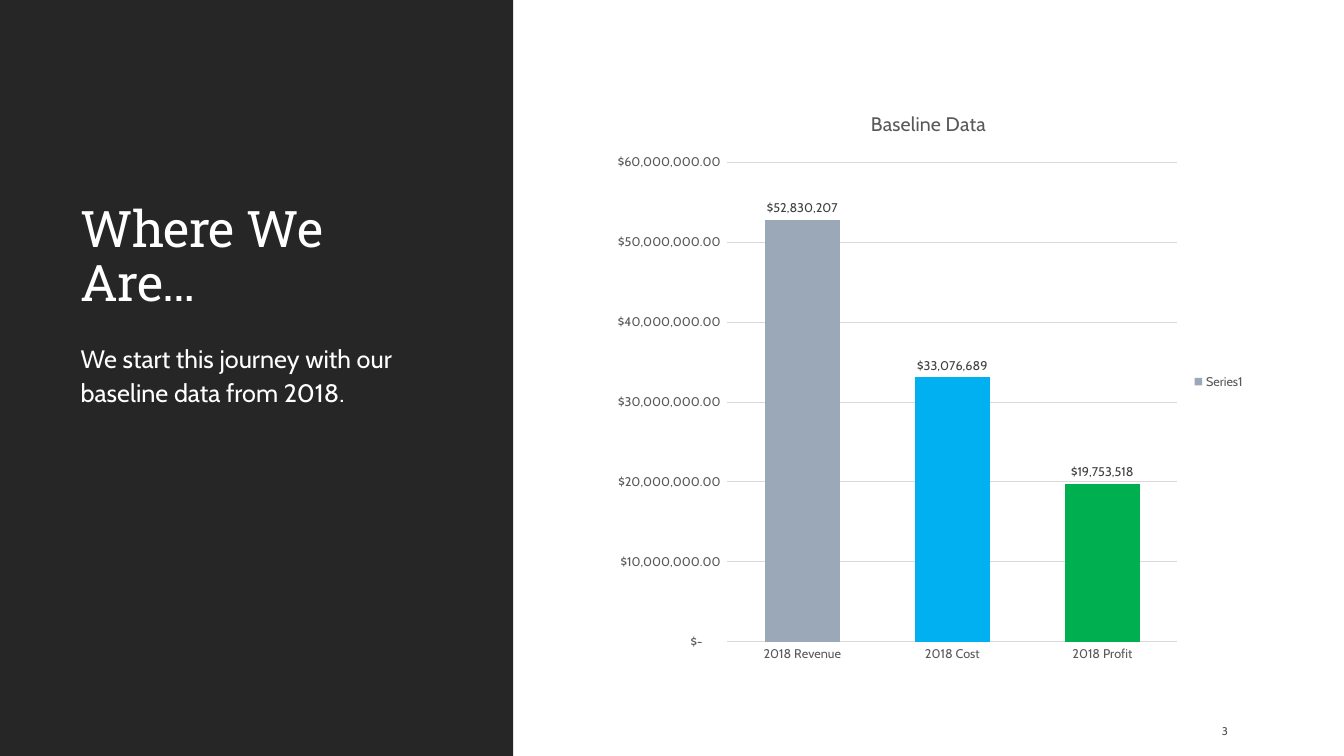
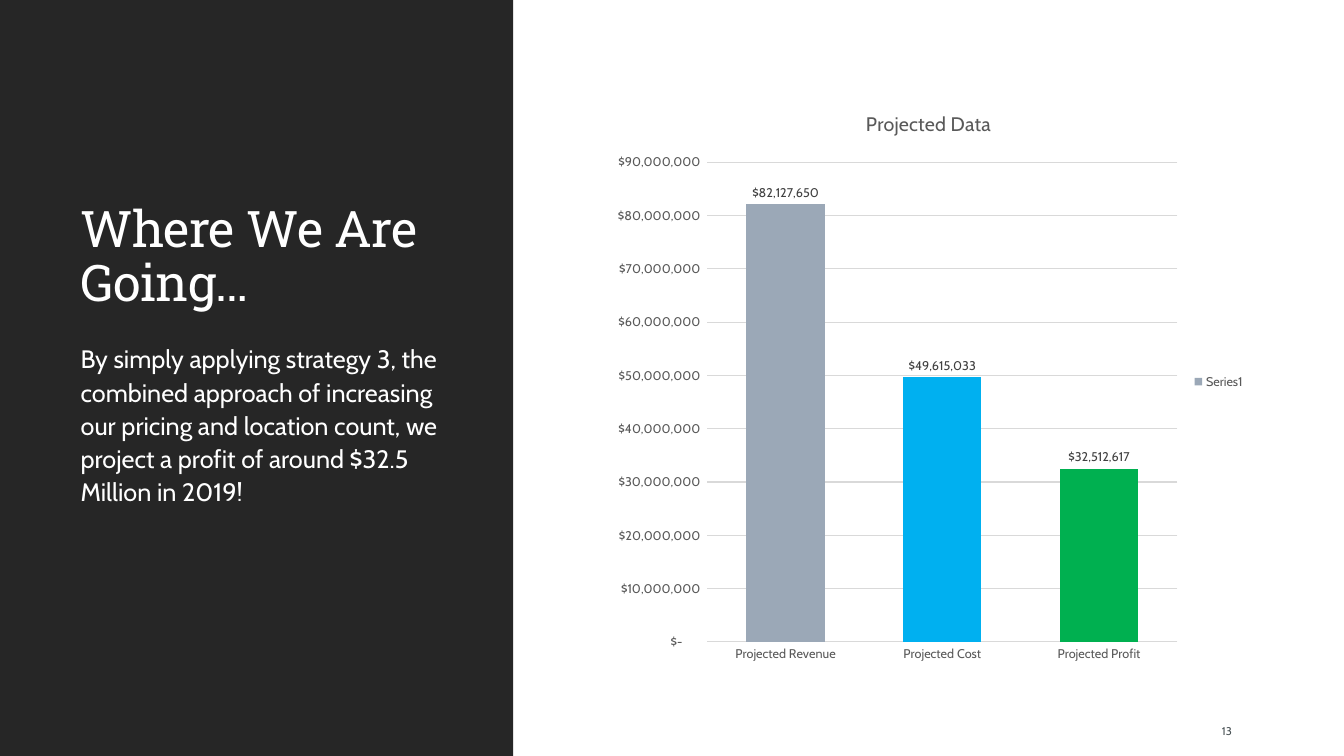
from pptx import Presentation
from pptx import util as u
from pptx.chart.data import CategoryChartData
from pptx.dml.color import RGBColor
from pptx.enum import chart as ch, shapes, text
from pptx.oxml.ns import qn
from lxml import etree

HEAD, BODY = "Roboto Slab", "Cabin"
DARK, WHITE, GRAY, RULE, LABEL, FOOT = (
    "262626", "FFFFFF", "595959", "D9D9D9", "404040", "4A5356")
BARS = ["9BA8B7", "00B0F0", "00B050"]
DOLLAR = '_("$"* #,##0_);_("$"* \\(#,##0\\);_("$"* "-"??_);_(@_)'
CENTS = '_("$"* #,##0.00_);_("$"* \\(#,##0.00\\);_("$"* "-"??_);_(@_)'
STEP = 10_000_000

SPOTS = {
    "title": (0.7, 0.86, 3.85, 2.29),
    "body": (0.7, 3.33, 3.85, 3.35),
    "chart": (5.97, 0.89, 6.48, 5.79),
    "number": (12.02, 7.05, 0.85, 0.4),
    "band": (0, 0, 5.09, 7.5),
}

SLIDES = [
    {
        "title": "Where We Are…",
        "body": "We start this journey with our baseline data from 2018.",
        "number": "3",
        "chart": "Baseline Data",
        "bars": {"2018 Revenue": 52830207, "2018 Cost": 33076689,
                 "2018 Profit": 19753518},
        "format": CENTS,
        "top": 6 * STEP,
    },
    {
        "title": "Where We Are Going…",
        "body": "By simply applying strategy 3, the combined approach of "
                "increasing our pricing and location count, we project a "
                "profit of around $32.5 Million in 2019!",
        "number": "13",
        "chart": "Projected Data",
        "bars": {"Projected Revenue": 82127650, "Projected Cost": 49615033,
                 "Projected Profit": 32512617},
        "format": DOLLAR,
        "top": 9 * STEP,
    },
]

LEFT = text.PP_ALIGN.LEFT
STYLES = {
    "title": {
        "font": (HEAD, 36, WHITE), "anchor": text.MSO_ANCHOR.BOTTOM,
        "para": {"alignment": LEFT, "line_spacing": 0.9}},
    "body": {
        "font": (BODY, 18, WHITE), "anchor": text.MSO_ANCHOR.TOP,
        "para": {"alignment": LEFT, "line_spacing": 1.1,
                 "space_before": u.Pt(12), "space_after": u.Pt(2)}},
    "number": {
        "font": (BODY, 8, FOOT), "anchor": text.MSO_ANCHOR.MIDDLE,
        "para": {"alignment": LEFT}},
}


def rgb(code):
    return RGBColor.from_string(code)


def box(name):
    return [u.Inches(n) for n in SPOTS[name]]


def assign(item, values):
    for key, value in values.items():
        setattr(item, key, value)


def style(font, name, size, color):
    assign(font, {"name": name, "size": u.Pt(size), "bold": False})
    font.color.rgb = rgb(color)


def paint(fill, color):
    fill.solid()
    fill.fore_color.rgb = rgb(color)


def rule(line):
    line.color.rgb = rgb(RULE)
    line.width = u.Pt(0.75)


def write(shape, name, words):
    look = STYLES[name]
    assign(shape, dict(zip(("left", "top", "width", "height"), box(name))))
    frame = shape.text_frame
    assign(frame, {"text": words, "word_wrap": True,
                   "auto_size": text.MSO_AUTO_SIZE.NONE,
                   "vertical_anchor": look["anchor"]})
    para = frame.paragraphs[0]
    assign(para, look["para"])
    style(para.runs[0].font, *look["font"])
    return para


def add_band(slide):
    """Put the dark band on the layout, behind all its slides."""
    band = slide.shapes.add_shape(shapes.MSO_SHAPE.RECTANGLE, *box("band"))
    band.shadow.inherit = False
    paint(band.fill, DARK)
    band.line.fill.background()
    slide.slide_layout.shapes._spTree.insert(2, band._element)


def add_chart(slide, item):
    data = CategoryChartData()
    data.categories = list(item["bars"])
    data.add_series("Series1", list(item["bars"].values()))
    kind = ch.XL_CHART_TYPE.COLUMN_CLUSTERED
    chart = slide.shapes.add_chart(kind, *box("chart"), data).chart
    style(chart.font, BODY, 10, "000000")

    chart.has_title = True
    frame = chart.chart_title.text_frame
    frame.text = item["chart"]
    style(frame.paragraphs[0].runs[0].font, BODY, 14, GRAY)
    chart.chart_title.include_in_layout = False

    chart.has_legend = True
    assign(chart.legend, {"position": ch.XL_LEGEND_POSITION.RIGHT,
                          "include_in_layout": False})
    cat, val = chart.category_axis, chart.value_axis
    for part in (chart.legend, cat.tick_labels, val.tick_labels):
        style(part.font, BODY, 9, GRAY)
    for axis in (cat, val):
        axis.major_tick_mark = ch.XL_TICK_MARK.NONE
    rule(cat.format.line)
    val.format.line.fill.background()
    rule(val.major_gridlines.format.line)
    assign(val, {"minimum_scale": 0, "maximum_scale": item["top"],
                 "major_unit": STEP})
    assign(val.tick_labels, {"number_format": item["format"],
                             "number_format_is_linked": False})

    plot = chart.plots[0]
    assign(plot, {"gap_width": 100, "overlap": -27,
                  "vary_by_categories": False})
    bars = plot.series[0]
    paint(bars.format.fill, BARS[0])
    for i, color in enumerate(BARS[1:], 1):
        paint(bars.points[i].format.fill, color)
    labels = bars.data_labels
    assign(labels, {"show_value": True, "number_format": DOLLAR,
                    "number_format_is_linked": False,
                    "position": ch.XL_LABEL_POSITION.OUTSIDE_END})
    style(labels.font, BODY, 9, LABEL)


def build(deck, item):
    slide = deck.slides.add_slide(deck.slide_layouts[1])
    title = write(slide.shapes.title, "title", item["title"])
    title.runs[0].font._element.set("spc", "-50")
    body = write(slide.placeholders[1], "body", item["body"])
    props = body._p.get_or_add_pPr()
    props.set("marL", "0")
    props.set("indent", "0")
    etree.SubElement(props, qn("a:buNone"))
    add_chart(slide, item)
    write(slide.shapes.add_textbox(*box("number")), "number", item["number"])
    return slide


def main():
    deck = Presentation()
    deck.slide_width, deck.slide_height = u.Inches(13.33), u.Inches(7.5)
    made = [build(deck, item) for item in SLIDES]
    add_band(made[0])
    deck.save("out.pptx")


if __name__ == "__main__":
    main()
